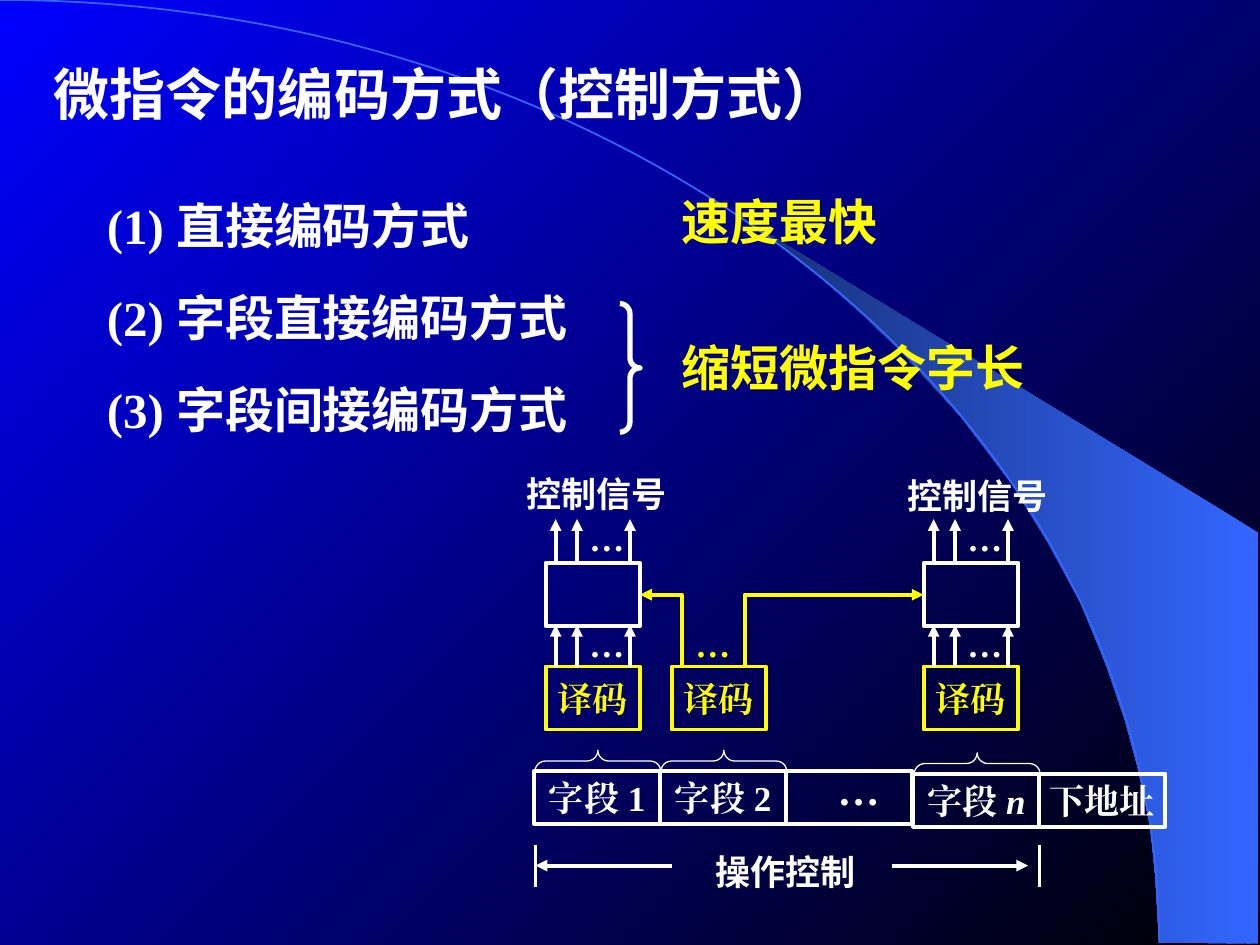
from lxml.etree import SubElement
from pptx import Presentation
from pptx.dml.color import RGBColor
from pptx.enum.shapes import MSO_CONNECTOR, MSO_SHAPE
from pptx.enum.text import MSO_ANCHOR, PP_ALIGN
from pptx.oxml.ns import qn
from pptx.util import Inches, Pt

COLORS = {"white": "FFFFFF", "yellow": "FFFF00", "blue": "3366FF",
          "navy": "172F75", "bright": "0000FF", "black": "000000"}
RGB = {name: RGBColor.from_string(value) for name, value in COLORS.items()}
SERIF, SANS = "Times New Roman", "DejaVu Sans"

deck = Presentation()
deck.slide_width, deck.slide_height = Inches(10), Inches(7.5)
page = deck.slides.add_slide(deck.slide_layouts[6])


def add_label(left, top, width, height, spans, size=20, color="white", boxed=False):
    place = [Inches(value) for value in (left, top, width, height)]
    if boxed:
        box = page.shapes.add_shape(MSO_SHAPE.RECTANGLE, *place)
        box.shadow.inherit = False
        box.fill.background()
        box.line.color.rgb = RGB[color]
        box.line.width = Pt(2.25)
    else:
        box = page.shapes.add_textbox(*place)
    frame = box.text_frame
    frame.word_wrap = size > 24
    frame.vertical_anchor = MSO_ANCHOR.MIDDLE if boxed else MSO_ANCHOR.TOP
    para = frame.paragraphs[0]
    para.alignment = PP_ALIGN.CENTER if boxed else PP_ALIGN.LEFT
    for text, font, italic in spans:
        span = para.add_run()
        span.text = text
        span.font.name = font
        span.font.size = Pt(size)
        span.font.bold = True
        span.font.italic = italic
        span.font.color.rgb = RGB[color]
        latin = span.font._element.find(qn("a:latin"))
        east = SubElement(span.font._element, qn("a:ea"), typeface=SERIF if boxed else SANS)
        latin.addnext(east)


def add_line(start_x, start_y, end_x, end_y, arrow=True):
    line = page.shapes.add_connector(
        MSO_CONNECTOR.STRAIGHT, Inches(start_x), Inches(start_y), Inches(end_x), Inches(end_y))
    line.line.color.rgb = RGB["white"]
    line.line.width = Pt(2.25)
    if arrow:
        SubElement(line.element.spPr.find(qn("a:ln")), qn("a:tailEnd"), type="triangle")
    SubElement(line.element.spPr, qn("a:effectLst"))


backdrop = page.background.fill
backdrop.gradient()
backdrop.gradient_angle = 135
for stop, name in zip(backdrop.gradient_stops, ("black", "bright")):
    stop.color.rgb = RGB[name]

wedge_points = [(Inches(x), Inches(y)) for x, y in [
    (9.2, 7.48), (9.99, 7.49), (9.99, 4.23), (5.89, 1.73), (6.24, 1.99), (6.53, 2.22),
    (6.85, 2.5), (7.16, 2.8), (7.62, 3.3), (8.03, 3.84), (8.32, 4.31), (8.58, 4.79),
    (8.78, 5.28), (8.93, 5.72), (9.03, 6.09), (9.13, 6.56), (9.17, 6.96)]]
outline = page.shapes.build_freeform(*wedge_points[0])
outline.add_line_segments(wedge_points[1:], close=True)
wedge = outline.convert_to_shape()
wedge.shadow.inherit = False
wedge.line.fill.background()
wedge.fill.gradient()
wedge.fill.gradient_angle = 180
for stop, name in zip(wedge.fill.gradient_stops, ("blue", "navy")):
    stop.color.rgb = RGB[name]

arc = page.shapes.add_shape(MSO_SHAPE.ARC, Inches(-9.2), 0, Inches(18.4), Inches(14.97))
arc.shadow.inherit = False
arc.fill.background()
arc.line.color.rgb = RGB["blue"]
arc.line.width = Pt(1)

add_label(0.33, 0.42, 6.87, 0.64, [("微指令的编码方式（控制方式）", SANS, False)], size=32)
methods = ["直接编码方式", "字段直接编码方式", "字段间接编码方式"]
for index, method in enumerate(methods):
    add_label(0.75, 1.5 + 0.73 * index, 4.02, 0.57,
              [(f"({index + 1}) ", SERIF, False), (method, SANS, False)], size=28)
for top, remark in [(1.47, "速度最快"), (2.63, "缩短微指令字长")]:
    add_label(5.31, top, 4.02, 0.57, [(remark, SERIF, False)], size=28, color="yellow")

fields = [
    (4.24, 6.12, [("字段 1", SERIF, False)], True),
    (5.24, 6.12, [("字段 2", SERIF, False)], True),
    (6.24, 6.12, [], False),
    (7.25, 6.14, [("字段 ", SERIF, False), ("n", SERIF, True)], True),
    (8.25, 6.14, [("下地址", SERIF, False)], False)]
braces = [(MSO_SHAPE.RIGHT_BRACE, 4.92, 2.41, 0.16, 1.02, 0, 3)]
for left, top, spans, braced in fields:
    add_label(left, top, 1, 0.42, spans, boxed=True)
    if braced:
        braces.append((MSO_SHAPE.LEFT_BRACE, left + 0.42, top - 0.58, 0.17, 1, 90, 0.75))
for kind, left, top, width, height, turn, weight in braces:
    brace = page.shapes.add_shape(kind, Inches(left), Inches(top), Inches(width), Inches(height))
    brace.adjustments[0] = 0.5
    brace.rotation = turn
    brace.shadow.inherit = False
    brace.fill.background()
    brace.line.color.rgb = RGB["white"]
    brace.line.width = Pt(weight)
add_label(6.55, 6.01, 0.53, 0.5, [("…", SERIF, False)], size=24)

for left in (4.33, 5.33, 7.33):
    add_label(left, 5.29, 0.75, 0.5, [("译码", SERIF, False)], color="yellow", boxed=True)
for left, signal_left, signal_top in [(4.33, 4.08, 3.7), (7.33, 7.1, 3.72)]:
    add_label(left, 4.47, 0.75, 0.5, [], boxed=True)
    add_label(signal_left, signal_top, 1.31, 0.44, [("控制信号", SERIF, False)])
    for base in (5.29, 4.45):
        for offset in (0.08, 0.25, 0.67):
            add_line(left + offset, base, left + offset, base - 0.33)
        add_label(left + 0.25, base - 0.4, 0.48, 0.44, [("…", SERIF, False)])

add_label(5.42, 4.89, 0.48, 0.44, [("…", SERIF, False)], color="yellow")
for start_x, end_x in [(5.41, 5.08), (5.91, 7.33)]:
    outline = page.shapes.build_freeform(Inches(start_x), Inches(5.3))
    outline.add_line_segments(
        [(Inches(start_x), Inches(4.72)), (Inches(end_x), Inches(4.72))], close=False)
    elbow = outline.convert_to_shape()
    elbow.shadow.inherit = False
    elbow.fill.background()
    elbow.line.color.rgb = RGB["yellow"]
    elbow.line.width = Pt(2.25)
    SubElement(elbow.element.spPr.find(qn("a:ln")), qn("a:tailEnd"), type="triangle")

for edge in (4.25, 8.25):
    add_line(edge, 6.71, edge, 7.04, arrow=False)
add_line(5.33, 6.87, 4.25, 6.87)
add_line(7.08, 6.87, 8.16, 6.87)
add_label(5.58, 6.7, 1.31, 0.44, [("操作控制", SERIF, False)])

deck.save("out.pptx")
